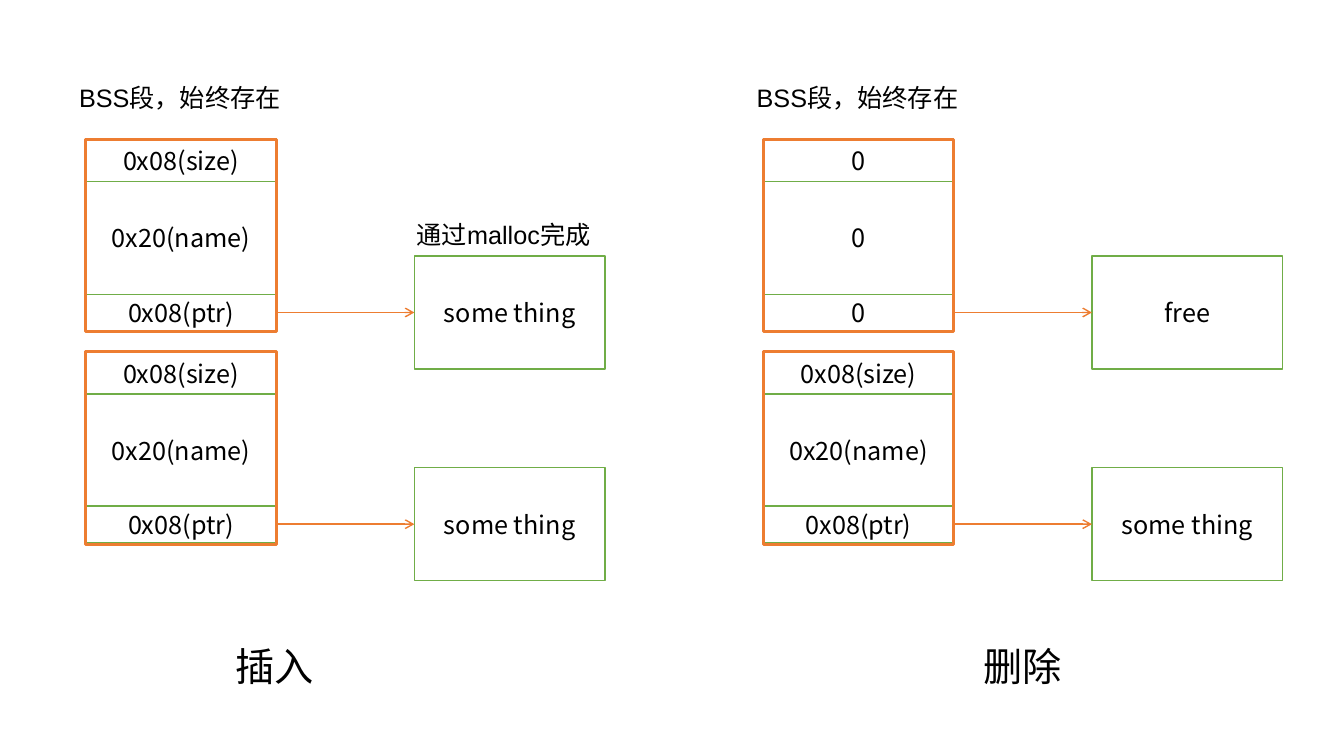
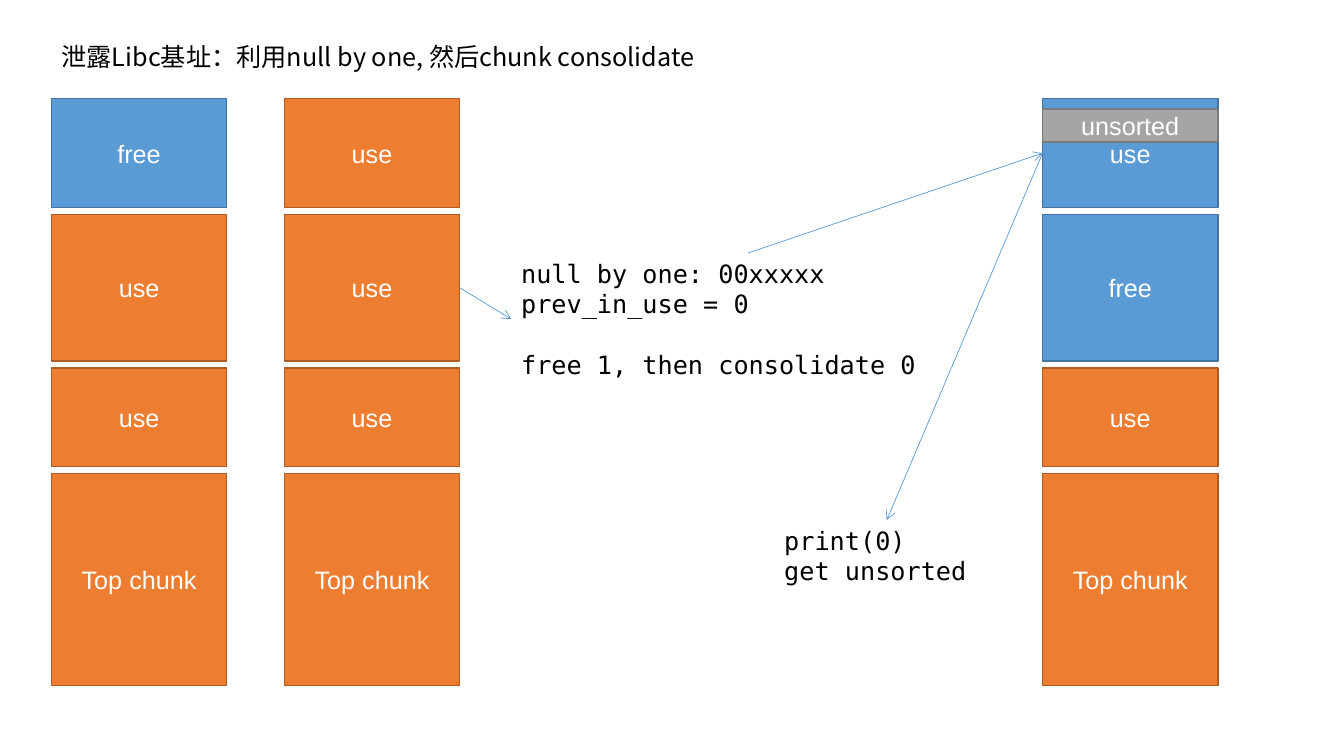
from dataclasses import dataclass

from lxml import etree
from pptx import Presentation
from pptx.dml.color import RGBColor
from pptx.enum.shapes import MSO_CONNECTOR, MSO_SHAPE
from pptx.enum.text import MSO_ANCHOR, MSO_AUTO_SIZE, PP_ALIGN
from pptx.oxml.ns import qn
from pptx.util import Emu, Pt

RECTANGLE = MSO_SHAPE.RECTANGLE
STRAIGHT = MSO_CONNECTOR.STRAIGHT
LEFT, CENTER = PP_ALIGN.LEFT, PP_ALIGN.CENTER
TOP, MIDDLE = MSO_ANCHOR.TOP, MSO_ANCHOR.MIDDLE
FIT_SHAPE, FIXED = MSO_AUTO_SIZE.SHAPE_TO_FIT_TEXT, MSO_AUTO_SIZE.NONE
SIDE_TOP, SIDE_LEFT, SIDE_RIGHT = 0, 1, 3
TITLE_ONLY, BLANK = 5, 6
EMU_PER_PX = 9144


@dataclass(frozen=True)
class Theme:
    black: str = "000000"
    white: str = "FFFFFF"
    green: str = "70AD47"
    orange: str = "ED7D31"
    dark_orange: str = "AF5C24"
    blue: str = "5B9BD5"
    dark_blue: str = "43739E"
    gray: str = "A5A5A5"
    dark_gray: str = "7A7A7A"
    sans: str = "Arial"
    cjk: str = "Noto Sans CJK SC"
    mono: str = "DejaVu Sans Mono"
    body_size: int = 18
    caption_size: int = 28


THEME = Theme()
USED = (THEME.orange, THEME.dark_orange)
FREED = (THEME.blue, THEME.dark_blue)
UNSORTED = (THEME.gray, THEME.dark_gray)

CELL_WIDTH = 189
SIZE_HEIGHT, NAME_HEIGHT, POINTER_HEIGHT = 42, 112, 36
RECORD_HEIGHT = 191
TARGET_OFFSET = 326
FIELDS = ("0x08(size)", "0x20(name)", "0x08(ptr)")
CLEARED = ("0", "0", "0")

CHUNK_WIDTH, CHUNK_GAP = 174, 7
CHUNK_HEIGHTS = (108, 145, 98, 210)


def px(length):
    return Emu(length * EMU_PER_PX)


def scaled(box):
    return [px(length) for length in box]


def write_text(shape, text, font=THEME.sans, size=THEME.body_size,
               color=THEME.black, align=CENTER, anchor=TOP,
               auto_size=FIXED, gaps=()):
    frame = shape.text_frame
    frame.word_wrap = True
    frame.auto_size = auto_size
    frame.vertical_anchor = anchor
    for index, line in enumerate(text.split("\n")):
        paragraph = frame.paragraphs[0] if index == 0 else frame.add_paragraph()
        paragraph.alignment = align
        paragraph.space_before = Pt(gaps[index] if gaps else 0)
        run = paragraph.add_run()
        run.text = line
        run.font.name = font
        run.font.size = Pt(size)
        run.font.color.rgb = RGBColor.from_string(color)
        east_asian = etree.SubElement(run.font._element, qn("a:ea"))
        east_asian.set("typeface", THEME.cjk)


def add_label(slide, box, text, **text_format):
    label = slide.shapes.add_textbox(*scaled(box))
    write_text(label, text, auto_size=FIT_SHAPE, **text_format)
    return label


def add_box(shapes, box, fill, line, width=1, text=None, **text_format):
    shape = shapes.add_shape(RECTANGLE, *scaled(box))
    shape.shadow.inherit = False
    if fill:
        shape.fill.solid()
        shape.fill.fore_color.rgb = RGBColor.from_string(fill)
    else:
        shape.fill.background()
    shape.line.color.rgb = RGBColor.from_string(line)
    shape.line.width = Pt(width)
    if text:
        write_text(shape, text, anchor=MIDDLE, **text_format)
    return shape


def add_cell(shapes, box, text):
    return add_box(shapes, box, THEME.white, THEME.green, text=text, font=THEME.cjk)


def add_arrow(slide, start, start_side, end, end_side, color, width):
    arrow = slide.shapes.add_connector(STRAIGHT, 0, 0, 0, 0)
    arrow.begin_connect(start, start_side)
    arrow.end_connect(end, end_side)
    arrow.line.color.rgb = RGBColor.from_string(color)
    arrow.line.width = Pt(width)
    tail = etree.SubElement(arrow.line._get_or_add_ln(), qn("a:tailEnd"))
    tail.set("type", "arrow")
    etree.SubElement(arrow._element.spPr, qn("a:effectLst"))


def add_record(slide, left, top, pointer_offset, fields, content):
    shapes = slide.shapes.add_group_shape().shapes
    rows = ((0, SIZE_HEIGHT), (SIZE_HEIGHT, NAME_HEIGHT),
            (pointer_offset, POINTER_HEIGHT))
    for (offset, height), text in zip(rows, fields):
        pointer = add_cell(shapes, (left, top + offset, CELL_WIDTH, height), text)
    add_box(shapes, (left, top, CELL_WIDTH, RECORD_HEIGHT), None, THEME.orange, 2.25)
    target_top = top + pointer_offset + (POINTER_HEIGHT - NAME_HEIGHT) // 2
    target = add_cell(slide.shapes,
                      (left + TARGET_OFFSET, target_top, CELL_WIDTH, NAME_HEIGHT),
                      content)
    add_arrow(slide, pointer, SIDE_RIGHT, target, SIDE_LEFT, THEME.orange, 1)


def add_operation(slide, left, top, caption, caption_offset, fields, content):
    add_label(slide, (left - 28, top, 243, 40), "BSS段，始终存在")
    add_record(slide, left, top + 61, 154, fields, content)
    add_record(slide, left, top + 272, 153, FIELDS, "some thing")
    add_label(slide, (left + caption_offset, top + 555, 243, 57), caption,
              size=THEME.caption_size)


def add_chunk_column(slide, left, top, chunks):
    column = []
    for height, (text, (fill, line)) in zip(CHUNK_HEIGHTS, chunks):
        column.append(add_box(slide.shapes, (left, top, CHUNK_WIDTH, height),
                              fill, line, text=text, color=THEME.white))
        top += height + CHUNK_GAP
    return column


def add_title(slide, box, text):
    title = slide.shapes.title
    title.left, title.top, title.width, title.height = scaled(box)
    write_text(title, text, font=THEME.cjk, align=LEFT)


def build_operations_slide(presentation):
    slide = presentation.slides.add_slide(presentation.slide_layouts[BLANK])
    add_operation(slide, 85, 77, "插入", 66, FIELDS, "some thing")
    add_operation(slide, 757, 77, "删除", 136, CLEARED, "free")
    add_label(slide, (378, 213, 243, 40), "通过malloc完成")


def build_leak_slide(presentation):
    slide = presentation.slides.add_slide(presentation.slide_layouts[TITLE_ONLY])
    add_title(slide, (51, 36, 724, 40),
              "泄露Libc基址：利用null by one, 然后chunk consolidate")
    used, freed = ("use", USED), ("free", FREED)
    top_chunk = ("Top chunk", USED)
    top = 98
    add_chunk_column(slide, 51, top, (freed, used, used, top_chunk))
    overflow = add_chunk_column(slide, 282, top, (used, used, used, top_chunk))
    merged = add_chunk_column(slide, 1034, top,
                              (("use", FREED), freed, used, top_chunk))
    add_box(slide.shapes, (1034, top + 10, CHUNK_WIDTH, 33), *UNSORTED,
            text="unsorted", color=THEME.white)
    exploit = add_label(
        slide, (507, 251, 470, 131),
        "null by one: 00xxxxx\nprev_in_use = 0\nfree 1, then consolidate 0",
        font=THEME.mono, align=LEFT, gaps=(0, 0, 22))
    output = add_label(slide, (768, 516, 223, 71), "print(0)\nget unsorted",
                       font=THEME.mono, align=LEFT)
    for start, start_side, end, end_side in (
            (overflow[1], SIDE_RIGHT, exploit, SIDE_LEFT),
            (exploit, SIDE_TOP, merged[0], SIDE_LEFT),
            (merged[0], SIDE_LEFT, output, SIDE_TOP)):
        add_arrow(slide, start, start_side, end, end_side, THEME.blue, 0.5)


def main():
    presentation = Presentation()
    presentation.slide_width = px(1333)
    presentation.slide_height = px(750)
    build_operations_slide(presentation)
    build_leak_slide(presentation)
    presentation.save("out.pptx")


if __name__ == "__main__":
    main()
